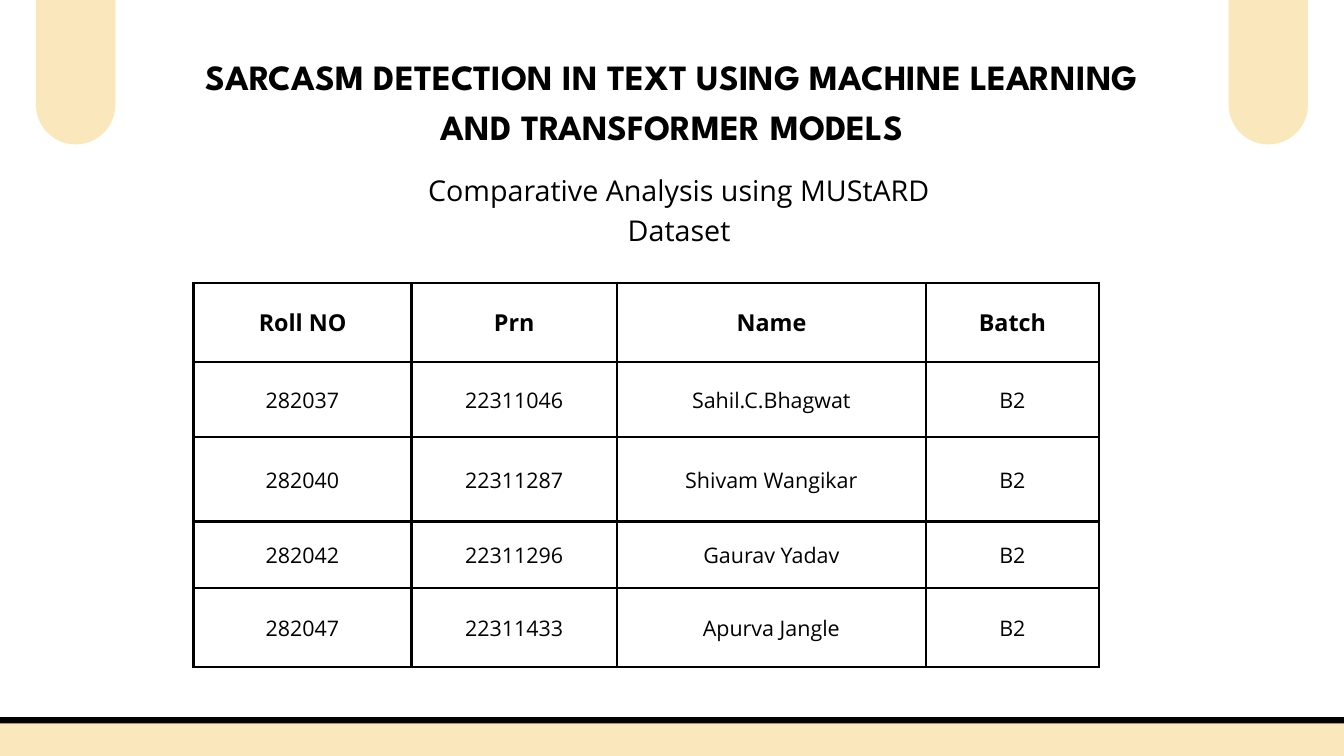
import pptx
import pptx.dml.color
import pptx.enum.shapes
import pptx.enum.text
import pptx.oxml
import pptx.oxml.ns
import pptx.util
from dataclasses import dataclass

Cm = pptx.util.Cm
Pt = pptx.util.Pt


@dataclass(frozen=True)
class Font:
    name: str
    size: float
    lead: float
    bold: bool = False


class Theme:
    ink = "000000"
    sand = "FAE7BC"
    paper = "FFFFFF"
    title = Font("League Spartan", 38, 53.2, True)
    sub = Font("Open Sans", 30.7, 43)
    head = Font("Open Sans", 25, 35, True)
    body = Font("Open Sans", 23, 32.2)
    rule = 3
    edge = 6.75
    inset = 0.53


def tint(code):
    return pptx.dml.color.RGBColor.from_string(code)


class Deck:
    def __init__(self, theme):
        self.theme = theme
        self.file = pptx.Presentation()
        self.file.slide_width = Cm(50.8)
        self.file.slide_height = Cm(28.58)
        self.slide = self.file.slides.add_slide(self.file.slide_layouts[6])
        back = self.slide.background.fill
        back.solid()
        back.fore_color.rgb = tint(theme.paper)

    def round(self, left, top, width, height, curve, edge=0):
        """Add a sand-coloured bar; curve is the corner radius over the short side."""
        kind = pptx.enum.shapes.MSO_SHAPE.ROUNDED_RECTANGLE
        bar = self.slide.shapes.add_shape(
            kind, Cm(left), Cm(top), Cm(width), Cm(height))
        bar.adjustments[0] = curve
        bar.shadow.inherit = False
        bar.fill.solid()
        bar.fill.fore_color.rgb = tint(self.theme.sand)
        if edge:
            bar.line.color.rgb = tint(self.theme.ink)
            bar.line.width = Pt(edge)
        else:
            bar.line.fill.background()

    def label(self, frame, words, font):
        para = frame.paragraphs[0]
        para.alignment = pptx.enum.text.PP_ALIGN.CENTER
        para.line_spacing = Pt(font.lead)
        run = para.add_run()
        run.text = words
        run.font.name = font.name
        run.font.size = Pt(font.size)
        run.font.bold = font.bold
        run.font.color.rgb = tint(self.theme.ink)

    def text(self, left, top, width, height, words, font):
        box = self.slide.shapes.add_textbox(
            Cm(left), Cm(top), Cm(width), Cm(height))
        frame = box.text_frame
        frame.word_wrap = True
        frame.margin_left = frame.margin_right = 0
        frame.margin_top = frame.margin_bottom = 0
        self.label(frame, words, font)

    def border(self, cell):
        """Rule all four sides of a table cell."""
        props = cell._tc.get_or_add_tcPr()
        for side in ("lnL", "lnR", "lnT", "lnB"):
            props.append(pptx.oxml.parse_xml(
                f'<a:{side} {pptx.oxml.ns.nsdecls("a")} w="{Pt(self.theme.rule)}">'
                f'<a:solidFill><a:srgbClr val="{self.theme.ink}"/></a:solidFill>'
                f'</a:{side}>'))

    def table(self, left, top, widths, heights, rows):
        grid = self.slide.shapes.add_table(
            len(rows), len(widths), Cm(left), Cm(top),
            Cm(sum(widths)), Cm(sum(heights))).table
        grid.horz_banding = False
        for col, width in zip(grid.columns, widths):
            col.width = Cm(width)
        for line, height in zip(grid.rows, heights):
            line.height = Cm(height)
        inset = Cm(self.theme.inset)
        for r, row in enumerate(rows):
            font = self.theme.body if r else self.theme.head
            for c, words in enumerate(row):
                cell = grid.cell(r, c)
                cell.margin_left = cell.margin_right = inset
                cell.margin_top = cell.margin_bottom = inset
                cell.vertical_anchor = pptx.enum.text.MSO_ANCHOR.MIDDLE
                self.border(cell)
                cell.fill.background()
                self.label(cell.text_frame, words, font)


def main():
    theme = Theme()
    deck = Deck(theme)
    for left in (46.44, 1.36):
        deck.round(left, -2.74, 3, 8.2, 0.5)
    deck.round(-1.47, 27.23, 53.75, 2.29, 0.1, theme.edge)

    people = [
        ("282037", "22311046", "Sahil.C.Bhagwat"),
        ("282040", "22311287", "Shivam Wangikar"),
        ("282042", "22311296", "Gaurav Yadav"),
        ("282047", "22311433", "Apurva Jangle"),
    ]
    rows = [("Roll NO", "Prn", "Name", "Batch")]
    rows += [(*person, "B2") for person in people]
    deck.table(7.32, 10.69, (8.23, 7.77, 11.68, 6.53),
               (3, 2.84, 3.18, 2.51, 3), rows)

    deck.text(7.32, 1.83, 36.17, 3.66,
              "SARCASM DETECTION IN TEXT USING MACHINE LEARNING "
              "AND TRANSFORMER MODELS", theme.title)
    deck.text(14.1, 6.32, 23.14, 1.42,
              "Comparative Analysis using MUStARD Dataset", theme.sub)
    deck.file.save("out.pptx")


if __name__ == "__main__":
    main()
